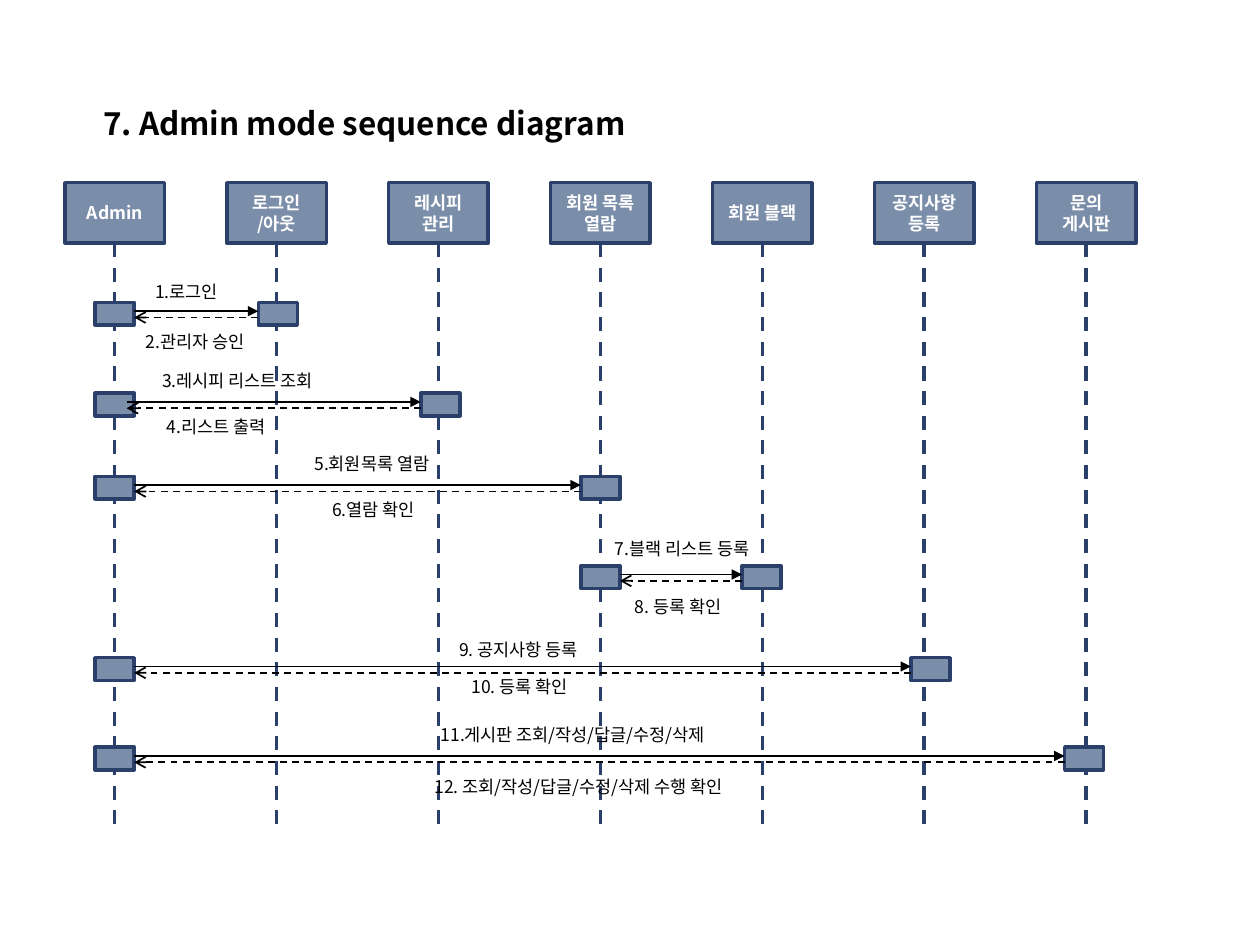
from dataclasses import dataclass

from lxml.etree import SubElement
from pptx import Presentation
from pptx.dml.color import RGBColor
from pptx.enum.dml import MSO_LINE
from pptx.enum.shapes import MSO_CONNECTOR, MSO_SHAPE
from pptx.enum.text import MSO_ANCHOR, PP_ALIGN
from pptx.oxml.ns import qn
from pptx.util import Inches, Pt


@dataclass(frozen=True)
class Theme:
    font: str = "Noto Sans CJK KR"
    fill: RGBColor = RGBColor(0x7B, 0x8E, 0xA9)
    outline: RGBColor = RGBColor(0x2B, 0x3F, 0x6B)
    ink: RGBColor = RGBColor(0, 0, 0)
    light: RGBColor = RGBColor(255, 255, 255)
    title_size: int = 18
    body_size: int = 10
    outline_width: int = 2
    arrow_width: int = 1


@dataclass(frozen=True)
class Label:
    text: str
    left: float
    top: float
    width: float


@dataclass(frozen=True)
class Exchange:
    """A request and its reply between two activation bars."""
    source_lane: int
    target_left: float
    top: float
    request: Label
    reply: Label
    overlap: float = 0  # how far the arrows reach into the source bar


THEME = Theme()

LANE_START, LANE_STEP = 0.91, 1.285
HEAD_TOP, HEAD_WIDTH, HEAD_HEIGHT = 1.45, 0.79, 0.48
LANE_BOTTOM = 6.56
BAR_WIDTH, BAR_HEIGHT = 0.31, 0.18
REQUEST_DROP, REPLY_DROP = 0.07, 0.12
LABEL_HEIGHT = 0.27

PARTICIPANTS = ["Admin", "로그인\n/아웃", "레시피\n관리", "회원 목록 열람",
                "회원 블랙", "공지사항\n등록", "문의\n게시판"]

EXCHANGES = [
    Exchange(0, 2.05, 2.4, Label("1.로그인", 0.88, 2.18, 1.2),
             Label("2.관리자 승인", 0.91, 2.58, 1.28)),
    Exchange(0, 3.34, 3.12, Label("3.레시피 리스트 조회", 1.1, 2.89, 1.57),
             Label("4.리스트 출력", 1.06, 3.25, 1.31), overlap=0.06),
    Exchange(0, 4.61, 3.78, Label("5.회원목록 열람", 2.24, 3.55, 1.42),
             Label("6.열람 확인", 2.4, 3.91, 1.13)),
    Exchange(3, 5.89, 4.49, Label("7.블랙 리스트 등록", 4.61, 4.22, 1.61),
             Label("8. 등록 확인", 4.74, 4.68, 1.28)),
    Exchange(0, 7.23, 5.22, Label("9. 공지사항 등록", 3.19, 5.02, 1.85),
             Label("10. 등록 확인", 3.01, 5.32, 2.23)),
    Exchange(0, 8.45, 5.93,
             Label("11.게시판 조회/작성/답글/수정/삭제", 2.92, 5.7, 3.25),
             Label("12. 조회/작성/답글/수정/삭제 수행 확인", 2.7, 6.11, 3.78)),
]


def lane_center(lane):
    return LANE_START + lane * LANE_STEP


def write_text(frame, text, size, color, bold=False, align=PP_ALIGN.CENTER):
    frame.word_wrap = True
    for index, line in enumerate(text.split("\n")):
        para = frame.add_paragraph() if index else frame.paragraphs[0]
        para.text = line
        para.alignment = align
        para.font.name = THEME.font
        para.font.size = Pt(size)
        para.font.bold = bold
        para.font.color.rgb = color
        # Hangul takes its typeface from the East Asian font.
        defaults = para._p.pPr.find(qn("a:defRPr"))
        SubElement(defaults, qn("a:ea"), typeface=THEME.font)


def add_box(page, left, top, width, height):
    box = page.shapes.add_shape(MSO_SHAPE.RECTANGLE, Inches(left), Inches(top),
                                Inches(width), Inches(height))
    box.shadow.inherit = False
    box.fill.solid()
    box.fill.fore_color.rgb = THEME.fill
    box.line.color.rgb = THEME.outline
    box.line.width = Pt(THEME.outline_width)
    return box


def add_line(page, start, end, color, width, dashed=False, head=None):
    line = page.shapes.add_connector(MSO_CONNECTOR.STRAIGHT,
                                     *map(Inches, start + end))
    line.line.color.rgb = color
    line.line.width = Pt(width)
    if dashed:
        line.line.dash_style = MSO_LINE.DASH
    properties = line._element.spPr
    if head:
        SubElement(properties.find(qn("a:ln")), qn("a:tailEnd"), type=head)
    SubElement(properties, qn("a:effectLst"))


def add_title(page, text):
    box = page.shapes.add_textbox(Inches(0.72), Inches(0.72),
                                  Inches(8.84), Inches(0.51))
    box.text_frame.vertical_anchor = MSO_ANCHOR.MIDDLE
    write_text(box.text_frame, text, THEME.title_size, THEME.ink,
               bold=True, align=PP_ALIGN.LEFT)


def add_label(page, label):
    box = page.shapes.add_textbox(Inches(label.left), Inches(label.top),
                                  Inches(label.width), Inches(LABEL_HEIGHT))
    write_text(box.text_frame, label.text, THEME.body_size, THEME.ink)


def add_lifeline(page, lane, name):
    center = lane_center(lane)
    head = add_box(page, center - HEAD_WIDTH / 2, HEAD_TOP, HEAD_WIDTH, HEAD_HEIGHT)
    frame = head.text_frame
    frame.margin_left = frame.margin_right = 0
    frame.margin_top = frame.margin_bottom = 0
    frame.vertical_anchor = MSO_ANCHOR.MIDDLE
    write_text(frame, name, THEME.body_size, THEME.light, bold=True)
    add_line(page, (center, HEAD_TOP + HEAD_HEIGHT), (center, LANE_BOTTOM),
             THEME.outline, THEME.outline_width, dashed=True)


def add_exchange(page, exchange):
    source_left = lane_center(exchange.source_lane) - BAR_WIDTH / 2
    for left in (source_left, exchange.target_left):
        add_box(page, left, exchange.top, BAR_WIDTH, BAR_HEIGHT)

    near = source_left + BAR_WIDTH - exchange.overlap
    far = exchange.target_left
    request_y = exchange.top + REQUEST_DROP
    reply_y = exchange.top + REPLY_DROP
    add_line(page, (near, request_y), (far, request_y),
             THEME.ink, THEME.arrow_width, head="triangle")
    add_line(page, (far, reply_y), (near, reply_y),
             THEME.ink, THEME.arrow_width, dashed=True, head="arrow")
    add_label(page, exchange.request)
    add_label(page, exchange.reply)


def main():
    deck = Presentation()
    deck.slide_width, deck.slide_height = Inches(10), Inches(7.5)
    page = deck.slides.add_slide(deck.slide_layouts[6])
    add_title(page, "7. Admin mode sequence diagram")
    for lane, name in enumerate(PARTICIPANTS):
        add_lifeline(page, lane, name)
    for exchange in EXCHANGES:
        add_exchange(page, exchange)
    deck.save("out.pptx")


if __name__ == "__main__":
    main()
